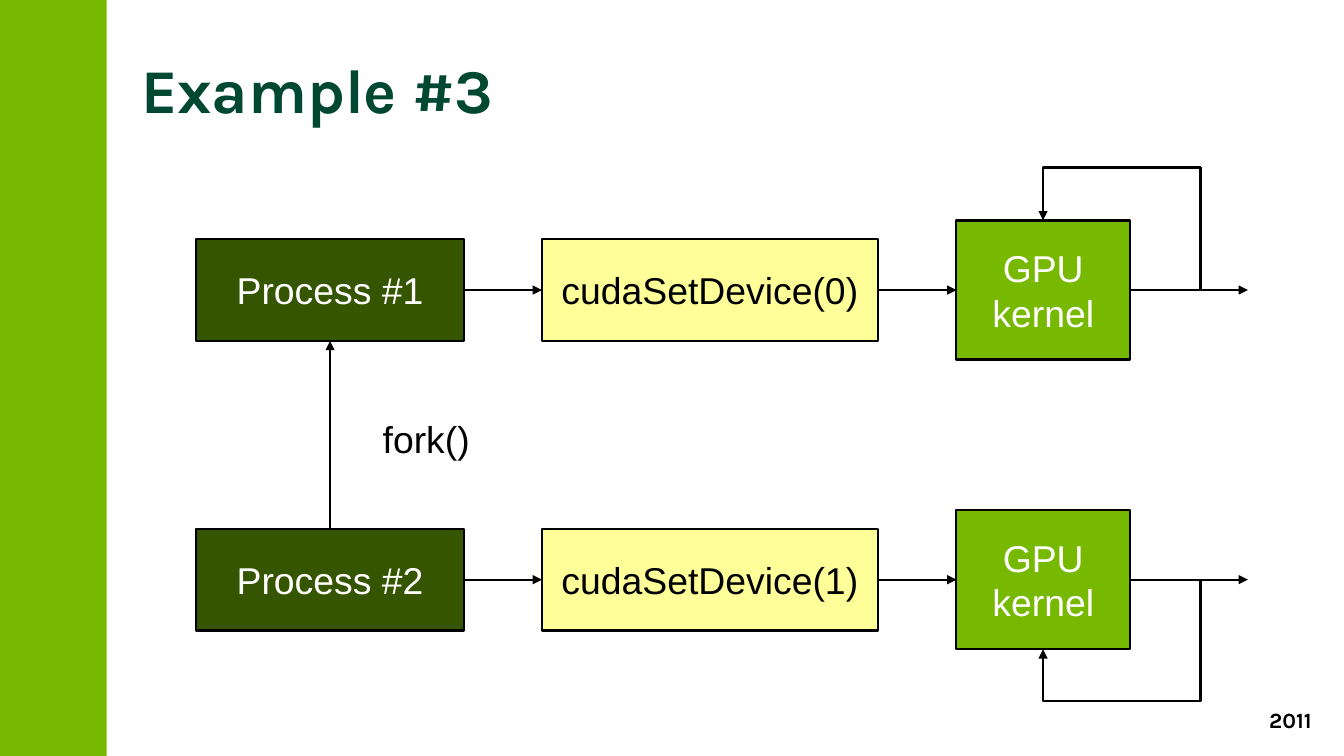
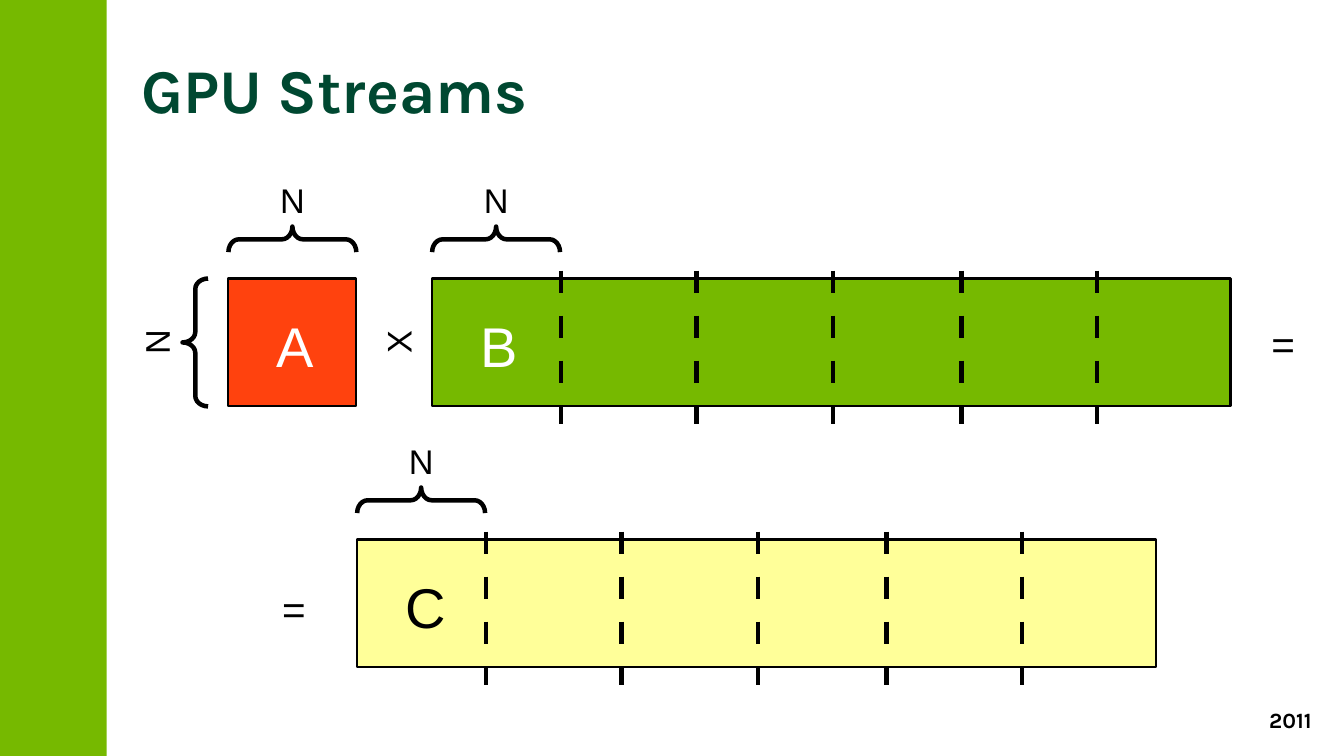
"""Build two slides on GPU processes and GPU streams."""
import dataclasses

import lxml.etree
import pptx
import pptx.dml.color
import pptx.enum.shapes
import pptx.enum.text
import pptx.oxml.ns
import pptx.util

Cm = pptx.util.Cm
Pt = pptx.util.Pt
qn = pptx.oxml.ns.qn
RGB = pptx.dml.color.RGBColor.from_string
Form = pptx.enum.shapes.MSO_SHAPE
Link = pptx.enum.shapes.MSO_CONNECTOR
Side = pptx.enum.text.PP_ALIGN
Hold = pptx.enum.text.MSO_ANCHOR


@dataclasses.dataclass(frozen=True)
class Theme:
    green: str = "76B900"
    moss: str = "365500"
    pine: str = "004831"
    cream: str = "FFFF99"
    red: str = "FF420E"
    black: str = "000000"
    white: str = "FFFFFF"
    head: str = "Karla"
    body: str = "Arial"
    title: float = 40
    letter: float = 36
    equal: float = 26
    node: float = 24
    label: float = 22
    foot: float = 14
    thin: float = 1.45
    thick: float = 2.89


look = Theme()


def write(page, left, top, wide, tall, text="", kind=None, fill=None, edge=0,
          size=look.node, color=look.black, font=look.body, bold=False,
          align=Side.CENTER, anchor=Hold.TOP, inset=(0.25, 0.13),
          wrap=True, space=None, turn=0):
    area = Cm(left), Cm(top), Cm(wide), Cm(tall)
    if kind is None:
        shape = page.shapes.add_textbox(*area)
    else:
        shape = page.shapes.add_shape(kind, *area)
        shape.shadow.inherit = False
        if fill:
            shape.fill.solid()
            shape.fill.fore_color.rgb = RGB(fill)
        else:
            shape.fill.background()
        if edge:
            shape.line.color.rgb = RGB(look.black)
            shape.line.width = Pt(edge)
        else:
            shape.line.fill.background()
    shape.rotation = turn
    frame = shape.text_frame
    frame.word_wrap = wrap
    frame.vertical_anchor = anchor
    frame.margin_left = frame.margin_right = Cm(inset[0])
    frame.margin_top = frame.margin_bottom = Cm(inset[1])
    frame.text = text
    for para in frame.paragraphs:
        para.alignment = align
        para.line_spacing = space
        for run in para.runs:
            run.font.name = font
            run.font.size = Pt(size)
            run.font.bold = bold
            run.font.color.rgb = RGB(color)
    return shape


def rule(page, start, end, kind=Link.STRAIGHT, width=look.thin, dash=False):
    line = page.shapes.add_connector(kind, *map(Cm, start + end))
    line.line.color.rgb = RGB(look.black)
    line.line.width = Pt(width)
    stroke = line.line._get_or_add_ln()
    if dash:
        cust = lxml.etree.SubElement(stroke, qn("a:custDash"))
        lxml.etree.SubElement(cust, qn("a:ds"), d="500000", sp="500000")
    else:
        lxml.etree.SubElement(stroke, qn("a:tailEnd"), type="triangle")
    lxml.etree.SubElement(line._element.spPr, qn("a:effectLst"))
    return line


deck = pptx.Presentation()
deck.slide_width = Cm(30.48)
deck.slide_height = Cm(17.15)

pages = []
for title in ("Example #3", "GPU Streams"):
    page = deck.slides.add_slide(deck.slide_layouts[6])
    write(page, 0, 0, 2.42, 17.15, kind=Form.RECTANGLE, fill=look.green)
    write(page, 21.34, 15.9, 8.66, 0.84, "2011", size=look.foot,
          font=look.head, bold=True, align=Side.RIGHT)
    write(page, 3.2, 0.69, 26.14, 2.87, title, size=look.title,
          color=look.pine, font=look.head, bold=True, align=Side.LEFT,
          anchor=Hold.MIDDLE, inset=(0, 0), space=0.9)
    pages.append(page)
flow, streams = pages

roots = []
for row, (mid, side, bend) in enumerate(((6.58, -1, 1.76), (13.15, 1, 1.74))):
    nodes = []
    for text, left, wide, tall, fill, color in (
        (f"Process #{row + 1}", 4.45, 6.07, 2.31, look.moss, look.white),
        (f"cudaSetDevice({row})", 12.29, 7.62, 2.31, look.cream, look.black),
        ("GPU\nkernel", 21.69, 3.94, 3.15, look.green, look.white),
    ):
        nodes.append(write(
            flow, left, mid - tall / 2, wide, tall, text, kind=Form.RECTANGLE,
            fill=fill, edge=look.thin, color=color, anchor=Hold.MIDDLE,
            inset=(0.28, 0.15)))
    roots.append(nodes[0])
    for near, far in zip(nodes, nodes[1:]):
        arrow = rule(flow, (0, mid), (1, mid))
        arrow.begin_connect(near, 3)
        arrow.end_connect(far, 1)
    rule(flow, (25.63, mid), (28.3, mid)).begin_connect(nodes[2], 3)

    rise, span = 1.58, 3.57
    hub, core = 25.44, mid + side * rise / 2
    loop = rule(flow, (hub - rise / 2, core - side * span / 2),
                (hub + rise / 2, core + side * span / 2), kind=Link.ELBOW)
    loop._element.spPr.find(qn("a:xfrm")).set("rot", str(side * 90 % 360 * 60000))
    guides = loop._element.spPr.find(qn("a:prstGeom")).find(qn("a:avLst"))
    lxml.etree.SubElement(guides, qn("a:gd"), name="adj1",
                          fmla=f"val {round(bend * 100000)}")

fork = rule(flow, (7.48, 12), (7.48, 7.73))
fork.begin_connect(roots[1], 0)
fork.end_connect(roots[0], 2)
write(flow, 8.43, 9.32, 3.1, 1.19, "fork()", align=Side.LEFT, wrap=False)

unit = 2.9
depth = 0.58
braces = [(4.43, 7.77, 0)]
for name, left, top, wide, fill, color in (
    ("A", 5.18, 6.32, unit, look.red, look.white),
    ("B", 9.8, 6.32, 18.11, look.green, look.white),
    ("C", 8.1, 12.24, 18.11, look.cream, look.black),
):
    write(streams, left, top, wide, unit, kind=Form.RECTANGLE, fill=fill,
          edge=look.thin)
    if wide > unit:
        for cut in (2.92, 6, 9.09, 12, 15.08):
            rule(streams, (left + cut, top - 0.18), (left + cut, top + 3.3),
                 width=look.thick, dash=True)
    write(streams, left + 0.84, top + 0.61, 1.35, 1.68, name,
          size=look.letter, color=color, wrap=False)
    write(streams, left + unit / 2 - 0.53, top - 2.39, 1.07, 1.12, "N",
          size=look.label, wrap=False)
    braces.append((left + unit / 2, top - 0.89, 90))

for hub, core, turn in braces:
    brace = write(streams, hub - depth / 2, core - unit / 2, depth, unit,
                  kind=Form.LEFT_BRACE, edge=look.thick, turn=turn)
    brace.adjustments[0] = 0.41

for text, left, top, wide, tall, size, turn in (
    ("N", 2.97, 7.21, 1.07, 1.12, look.label, 270),
    ("X", 8.48, 7.21, 1.02, 1.12, look.label, 270),
    ("=", 6.15, 13.13, 1.04, 1.27, look.equal, 0),
    ("=", 28.58, 7.11, 1.04, 1.27, look.equal, 0),
):
    write(streams, left, top, wide, tall, text, size=size, wrap=False, turn=turn)

deck.save("out.pptx")
